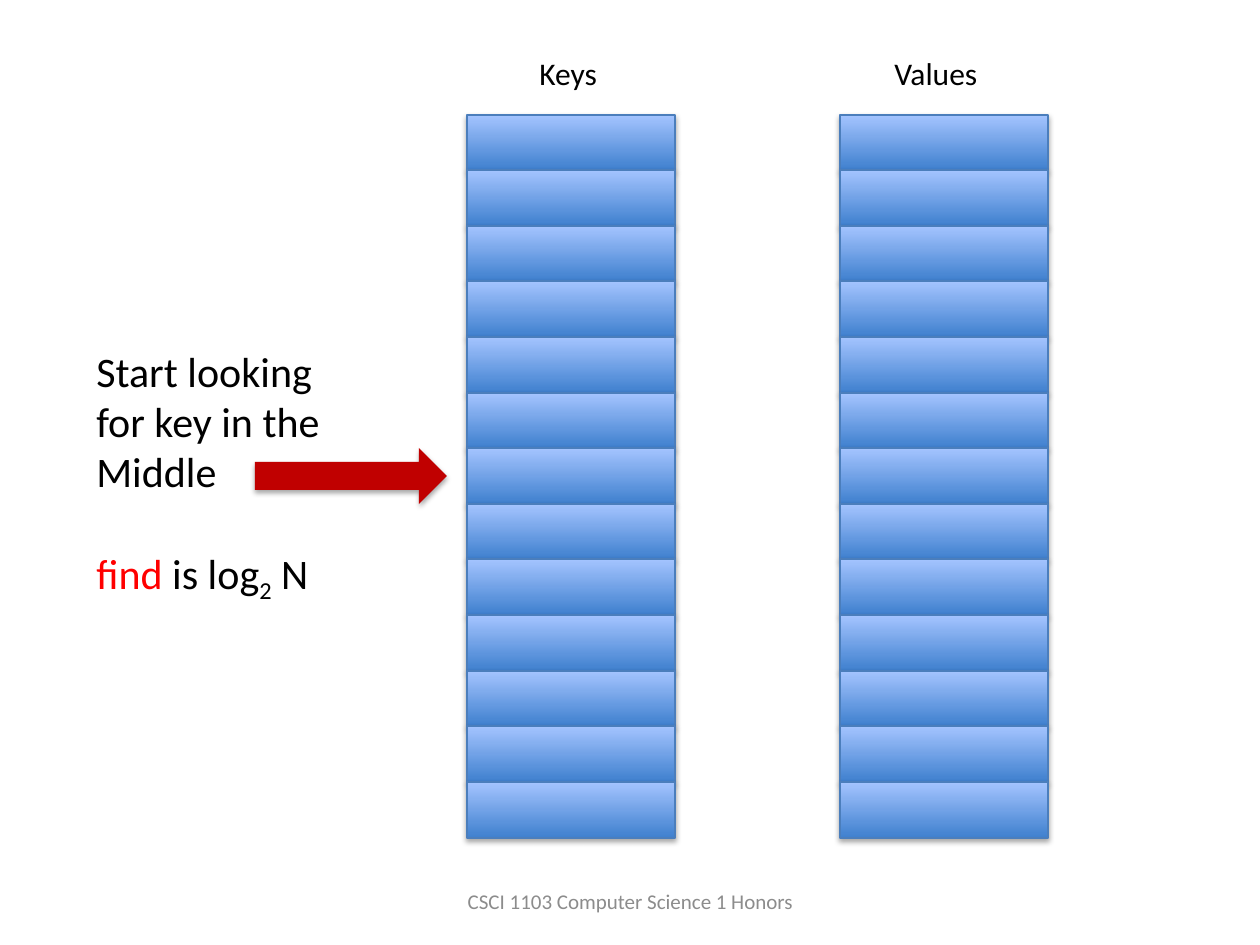
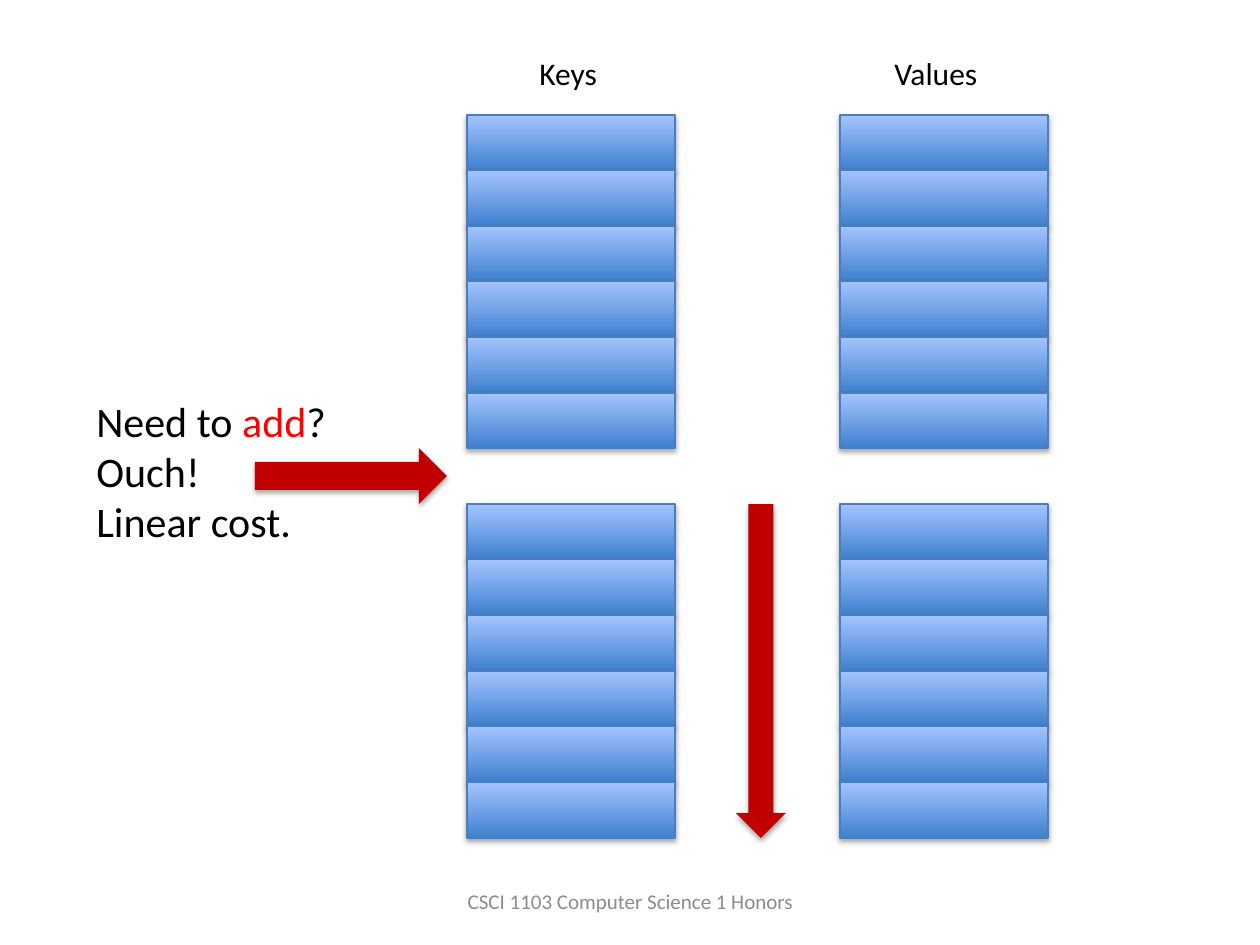
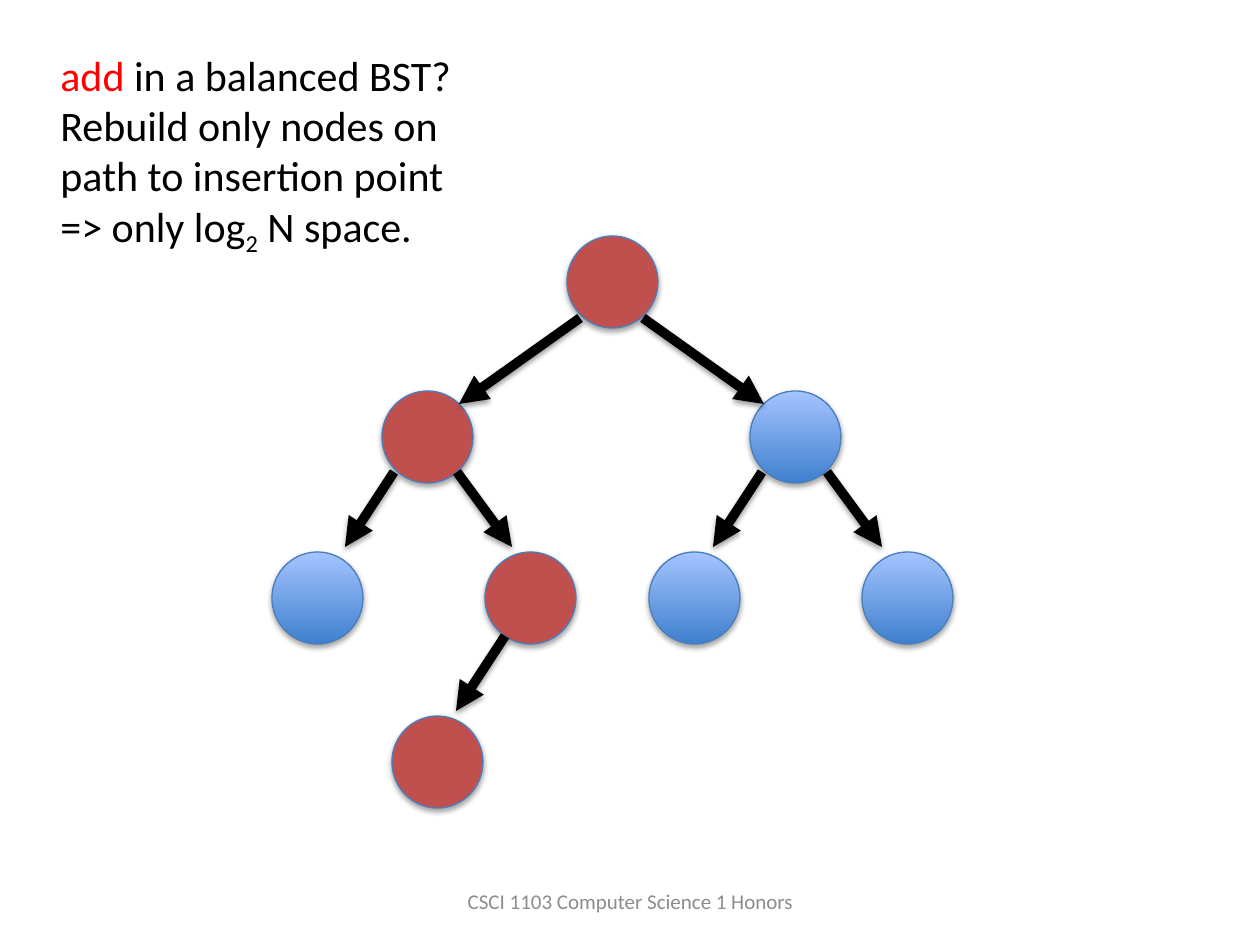
from lxml import etree
from pptx import Presentation
from pptx import util as u
from pptx.dml.color import RGBColor
from pptx.enum import shapes, text

PX = 914400 / 126
NS = "http://schemas.openxmlformats.org/drawingml/2006/main"
HUES = {"ink": "000000", "grey": "8C8C8C", "hot": "FF0000", "arrow": "C00000",
        "node": "C0504D", "edge": "4B7EBC", "deep": "3F80CE", "pale": "A4C4FF"}
RGB = {name: RGBColor.from_string(code) for name, code in HUES.items()}
KIND = shapes.MSO_SHAPE
FIT = text.MSO_AUTO_SIZE


def shade(item, alpha, drop):
    """Give a shape or connector a soft shadow below it."""
    item._element.spPr.append(etree.fromstring(
        f'<a:effectLst xmlns:a="{NS}"><a:outerShdw blurRad="40000" dist="{drop}" '
        f'dir="5400000" rotWithShape="0"><a:srgbClr val="{HUES["ink"]}">'
        f'<a:alpha val="{alpha}000"/></a:srgbClr></a:outerShdw></a:effectLst>'))


def write(slide, box, paras, size, hue="ink", gap=0, align=None, **frame):
    """Add a text box; each paragraph is a list of (words, mark) runs."""
    body = slide.shapes.add_textbox(*[round(n * PX) for n in box]).text_frame
    for name, value in frame.items():
        setattr(body, name, value)
    for i, runs in enumerate(paras):
        para = body.add_paragraph() if i else body.paragraphs[0]
        para.alignment = align
        for words, mark in runs:
            run = para.add_run()
            run.text = words
            for name, value in {"name": "Calibri", "size": u.Pt(size)}.items():
                setattr(run.font, name, value)
            run.font.color.rgb = RGB["hot" if mark == "hot" else hue]
            if mark == "sub":
                run._r.get_or_add_rPr().set("baseline", "-25000")
    if gap:
        para.space_before = u.Pt(gap)


# Two columns of cells: keys and values
ROWS, MID, TOP, TALL = 13, 6, 115, 723
COLS = (467, 840)
cuts = [TOP + TALL * i // ROWS for i in range(ROWS + 1)]
cells = [[(KIND.RECTANGLE, (x, cuts[i], 208, cuts[i + 1] - cuts[i]), "blue")
          for x in COLS] for i in range(ROWS)]
heads = [((527, 48, 83, 50), [[("Keys", "")]], 18, 0, False),
         ((882, 48, 110, 50), [[("Values", "")]], 18, 0, False)]
point = (KIND.RIGHT_ARROW, (255, cuts[MID], 192, 56), "arrow")
shift = (KIND.DOWN_ARROW, (736, cuts[MID + 1], 50, 334), "arrow")

# Tree: the nodes on the insertion path are red
nodes = [(567, 236, "node"), (382, 391, "node"), (750, 391, "blue"),
         (272, 552, "blue"), (485, 552, "node"), (649, 552, "blue"),
         (862, 552, "blue"), (392, 716, "node")]
tree = [(KIND.OVAL, (x, y, 91, 92), hue) for x, y, hue in nodes]
# Start of each branch and its reach across and down
edges = [(643, 318, 121, 86), (580, 318, -121, 86),
         (457, 472, 55, 75), (394, 472, -49, 75),
         (827, 472, 55, 75), (762, 472, -49, 75), (505, 636, -49, 75)]

find = [[("Start looking", "")], [("for key in the", "")], [("Middle", "")],
        [("find", "hot"), (" is log", ""), ("2", "sub"), (" N", "")]]
grow = [[("Need to ", ""), ("add", "hot"), ("?", "")],
        [("Ouch!", "")], [("Linear cost.", "")]]
plan = [[("add", "hot"), (" in a balanced BST? Rebuild only nodes on path to "
                           "insertion point => only log", ""),
         ("2", "sub"), (" N space.", "")]]

# Each page: shapes, branches, texts
pages = [
    (sum(cells, []) + [point], [],
     heads + [((84, 339, 251, 267), find, 24, 29, False)]),
    (sum(cells[:MID] + cells[MID + 1:], []) + [point, shift], [],
     heads + [((84, 389, 257, 165), grow, 24, 0, False)]),
    (tree, edges, [((48, 43, 438, 217), plan, 24, 0, True)]),
]

deck = Presentation()
deck.slide_width, deck.slide_height = u.Inches(10), u.Inches(7.5)

for forms, lines, notes in pages:
    slide = deck.slides.add_slide(deck.slide_layouts[6])
    write(slide, (431, 876, 399, 50),
          [[("CSCI 1103 Computer Science 1 Honors", "")]], 12, "grey",
          align=text.PP_ALIGN.CENTER, word_wrap=True,
          vertical_anchor=text.MSO_ANCHOR.MIDDLE)

    for kind, box, hue in forms:
        form = slide.shapes.add_shape(kind, *[round(n * PX) for n in box])
        if hue == "blue":
            form.fill.gradient()
            form.fill.gradient_angle = 90
            for stop, tone in zip(form.fill.gradient_stops, ("deep", "pale")):
                stop.color.rgb = RGB[tone]
        else:
            form.fill.solid()
            form.fill.fore_color.rgb = RGB[hue]
        if hue == "arrow":
            form.line.fill.background()
        else:
            form.line.color.rgb = RGB["edge"]
            form.line.width = u.Pt(0.75)
        shade(form, 35, 23000)

    for x, y, dx, dy in lines:
        ends = [round(n * PX) for n in (x, y, x + dx, y + dy)]
        edge = slide.shapes.add_connector(shapes.MSO_CONNECTOR.STRAIGHT, *ends)
        edge.line.color.rgb = RGB["ink"]
        edge.line.width = u.Pt(5.5)
        tip = etree.SubElement(edge.line._get_or_add_ln(), f"{{{NS}}}tailEnd")
        tip.set("type", "triangle")
        shade(edge, 38, 20000)

    for box, paras, size, gap, wrap in notes:
        write(slide, box, paras, size, gap=gap, word_wrap=wrap,
              auto_size=FIT.SHAPE_TO_FIT_TEXT)

deck.save("out.pptx")
